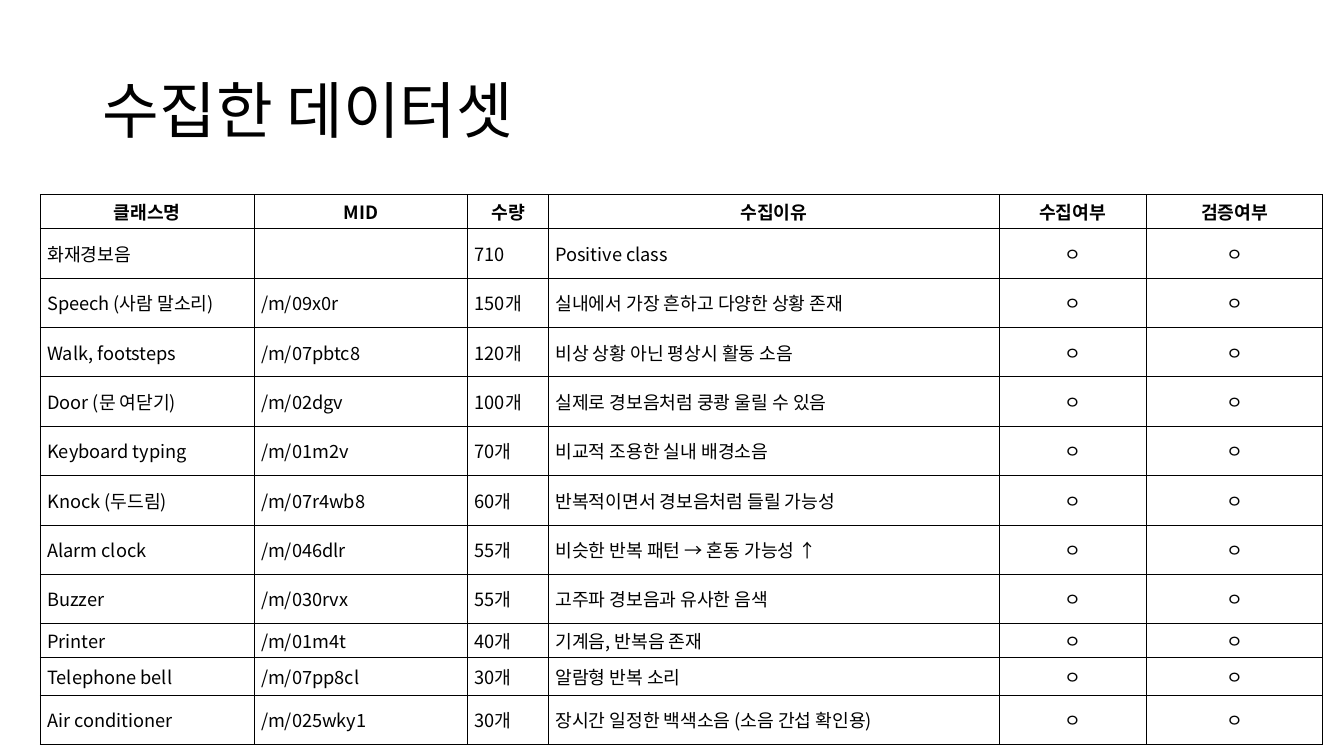
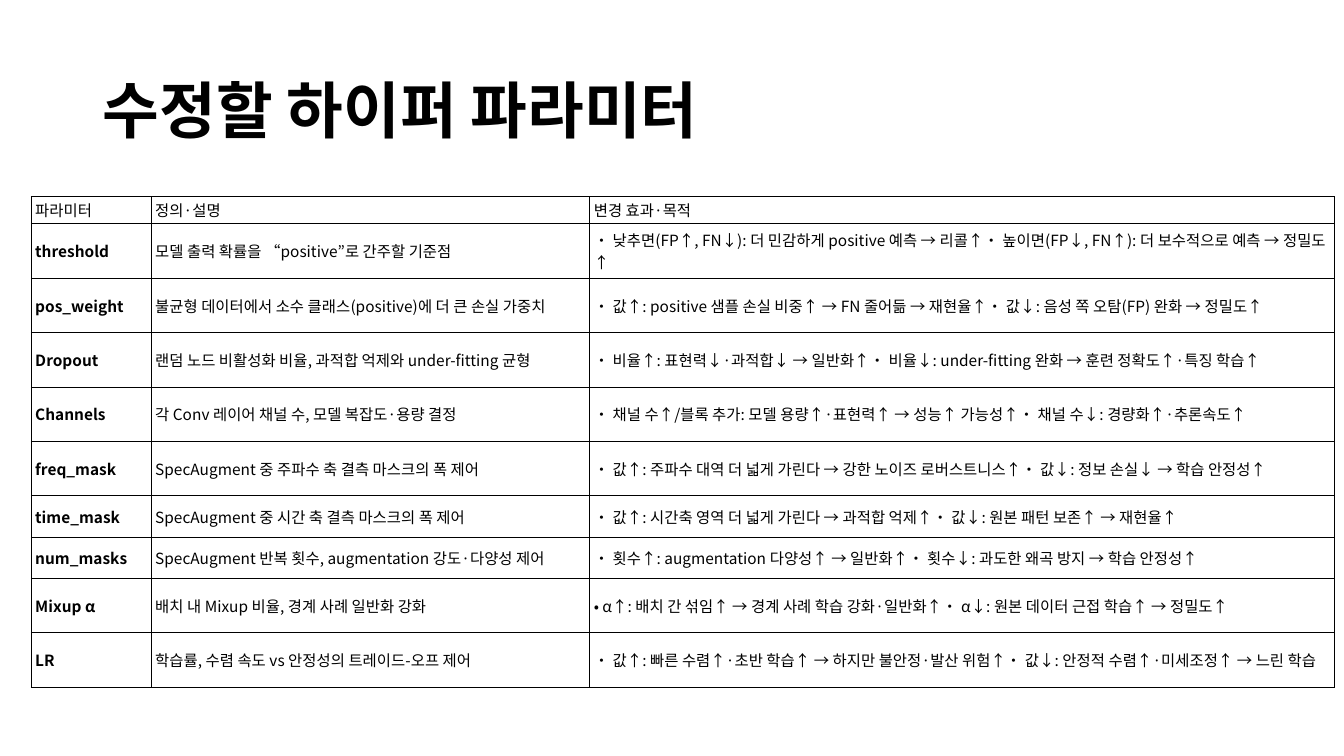
from lxml import etree
from pptx import Presentation
from pptx import util as u
from pptx.dml.color import RGBColor
from pptx.enum import text
from pptx.oxml import ns

PX = 9144  # EMU per px, 100 px to the inch
FONT = "Noto Sans CJK KR"
COLORS = {"paper": "FFFFFF", "ink": "000000", "rule": "000000"}
TITLE_BOX = (92, 40, 1150, 145)
MARK = "ㅇ"

DATASET_HEAD = ("클래스명", "MID", "수량", "수집이유", "수집여부", "검증여부")
DATASETS = [
    ("화재경보음", "", "710", "Positive class"),
    ("Speech (사람 말소리)", "/m/09x0r", "150개", "실내에서 가장 흔하고 다양한 상황 존재"),
    ("Walk, footsteps", "/m/07pbtc8", "120개", "비상 상황 아닌 평상시 활동 소음"),
    ("Door (문 여닫기)", "/m/02dgv", "100개", "실제로 경보음처럼 쿵쾅 울릴 수 있음"),
    ("Keyboard typing", "/m/01m2v", "70개", "비교적 조용한 실내 배경소음"),
    ("Knock (두드림)", "/m/07r4wb8", "60개", "반복적이면서 경보음처럼 들릴 가능성"),
    ("Alarm clock", "/m/046dlr", "55개", "비슷한 반복 패턴 → 혼동 가능성 ↑"),
    ("Buzzer", "/m/030rvx", "55개", "고주파 경보음과 유사한 음색"),
    ("Printer", "/m/01m4t", "40개", "기계음, 반복음 존재"),
    ("Telephone bell", "/m/07pp8cl", "30개", "알람형 반복 소리"),
    ("Air conditioner", "/m/025wky1", "30개", "장시간 일정한 백색소음 (소음 간섭 확인용)"),
]

PARAMETERS = [
    ("파라미터", "정의·설명", "변경 효과·목적"),
    ("threshold", "모델 출력 확률을 “positive”로 간주할 기준점",
     "• 낮추면(FP↑, FN↓): 더 민감하게 positive 예측 → 리콜↑"
     "• 높이면(FP↓, FN↑): 더 보수적으로 예측 → 정밀도↑"),
    ("pos_weight", "불균형 데이터에서 소수 클래스(positive)에 더 큰 손실 가중치",
     "• 값↑: positive 샘플 손실 비중↑ → FN 줄어듦 → 재현율↑"
     "• 값↓: 음성 쪽 오탐(FP) 완화 → 정밀도↑"),
    ("Dropout", "랜덤 노드 비활성화 비율, 과적합 억제와 under-fitting 균형",
     "• 비율↑: 표현력↓·과적합↓ → 일반화↑"
     "• 비율↓: under-fitting 완화 → 훈련 정확도↑·특징 학습↑"),
    ("Channels", "각 Conv 레이어 채널 수, 모델 복잡도·용량 결정",
     "• 채널 수↑/블록 추가: 모델 용량↑·표현력↑ → 성능↑ 가능성↑"
     "• 채널 수↓: 경량화↑·추론속도↑"),
    ("freq_mask", "SpecAugment 중 주파수 축 결측 마스크의 폭 제어",
     "• 값↑: 주파수 대역 더 넓게 가린다 → 강한 노이즈 로버스트니스↑"
     "• 값↓: 정보 손실↓ → 학습 안정성↑"),
    ("time_mask", "SpecAugment 중 시간 축 결측 마스크의 폭 제어",
     "• 값↑: 시간축 영역 더 넓게 가린다 → 과적합 억제↑"
     "• 값↓: 원본 패턴 보존↑ → 재현율↑"),
    ("num_masks", "SpecAugment 반복 횟수, augmentation 강도·다양성 제어",
     "• 횟수↑: augmentation 다양성↑ → 일반화↑"
     "• 횟수↓: 과도한 왜곡 방지 → 학습 안정성↑"),
    ("Mixup α", "배치 내 Mixup 비율, 경계 사례 일반화 강화",
     "• α↑: 배치 간 섞임↑ → 경계 사례 학습 강화·일반화↑"
     "• α↓: 원본 데이터 근접 학습↑ → 정밀도↑"),
    ("LR", "학습률, 수렴 속도 vs 안정성의 트레이드-오프 제어",
     "• 값↑: 빠른 수렴↑·초반 학습↑ → 하지만 불안정·발산 위험↑"
     "• 값↓: 안정적 수렴↑·미세조정↑ → 느린 학습"),
]


def px(n):
    return u.Emu(n * PX)


def write(tf, words, size, bold=False, center=False, spacing=None):
    p = tf.paragraphs[0]
    p.alignment = text.PP_ALIGN.CENTER if center else text.PP_ALIGN.LEFT
    if spacing:
        p.line_spacing = spacing
    if not words:
        p.font.size = u.Pt(size)
        return
    r = p.add_run()
    r.text = words
    r.font.size = u.Pt(size)
    r.font.bold = bold
    r.font.color.rgb = RGBColor.from_string(COLORS["ink"])
    r.font.name = FONT


def add_borders(cell):
    tc_pr = cell._tc.get_or_add_tcPr()
    for i, side in enumerate(("lnL", "lnR", "lnT", "lnB")):
        ln = etree.Element(ns.qn("a:" + side), w=str(u.Pt(0.75)))
        fill = etree.SubElement(ln, ns.qn("a:solidFill"))
        etree.SubElement(fill, ns.qn("a:srgbClr"), val=COLORS["rule"])
        tc_pr.insert(i, ln)


def add_title(s, box, words, bold=False):
    tf = s.shapes.add_textbox(*map(px, box)).text_frame
    tf.word_wrap = True
    tf.vertical_anchor = text.MSO_ANCHOR.MIDDLE
    write(tf, words, 44, bold=bold, spacing=0.9)


def add_grid(s, left, top, cols, heights, rows, size, inset, is_bold, is_centered):
    frame = s.shapes.add_table(len(rows), len(cols), px(left), px(top),
                               px(sum(cols)), px(sum(heights)))
    table = frame.table
    table.first_row = table.horz_banding = False
    for col, width in zip(table.columns, cols):
        col.width = px(width)
    for i, (row, height) in enumerate(zip(rows, heights)):
        table.rows[i].height = px(height)
        for j, words in enumerate(row):
            cell = table.cell(i, j)
            cell.margin_left = cell.margin_right = px(inset[0])
            cell.margin_top = cell.margin_bottom = px(inset[1])
            cell.vertical_anchor = text.MSO_ANCHOR.MIDDLE
            cell.fill.background()
            add_borders(cell)
            write(cell.text_frame, words, size, bold=is_bold(i, j),
                  center=is_centered(i, j))


def add_slide(prs, title, bold=False):
    s = prs.slides.add_slide(prs.slide_layouts[6])
    s.background.fill.solid()
    s.background.fill.fore_color.rgb = RGBColor.from_string(COLORS["paper"])
    add_title(s, TITLE_BOX, title, bold)
    return s


def dataset_slide(prs):
    s = add_slide(prs, "수집한 데이터셋")
    rows = [DATASET_HEAD] + [row + (MARK, MARK) for row in DATASETS]
    add_grid(s, 40, 193, (212, 212, 80, 447, 146, 175),
             [34] + [49] * 8 + [33, 38, 49], rows, 13, (7, 3),
             is_bold=lambda i, j: i == 0,
             is_centered=lambda i, j: i == 0 or j >= 4)


def parameter_slide(prs):
    s = add_slide(prs, "수정할 하이퍼 파라미터", bold=True)
    add_grid(s, 31, 195, (119, 435, 739),
             [27] + [54] * 5 + [41] * 2 + [54] * 2, PARAMETERS, 11, (4, 2),
             is_bold=lambda i, j: i > 0 and j == 0,
             is_centered=lambda i, j: False)


def main():
    prs = Presentation()
    prs.slide_width, prs.slide_height = px(1333), px(750)
    dataset_slide(prs)
    parameter_slide(prs)
    prs.save("out.pptx")


if __name__ == "__main__":
    main()
